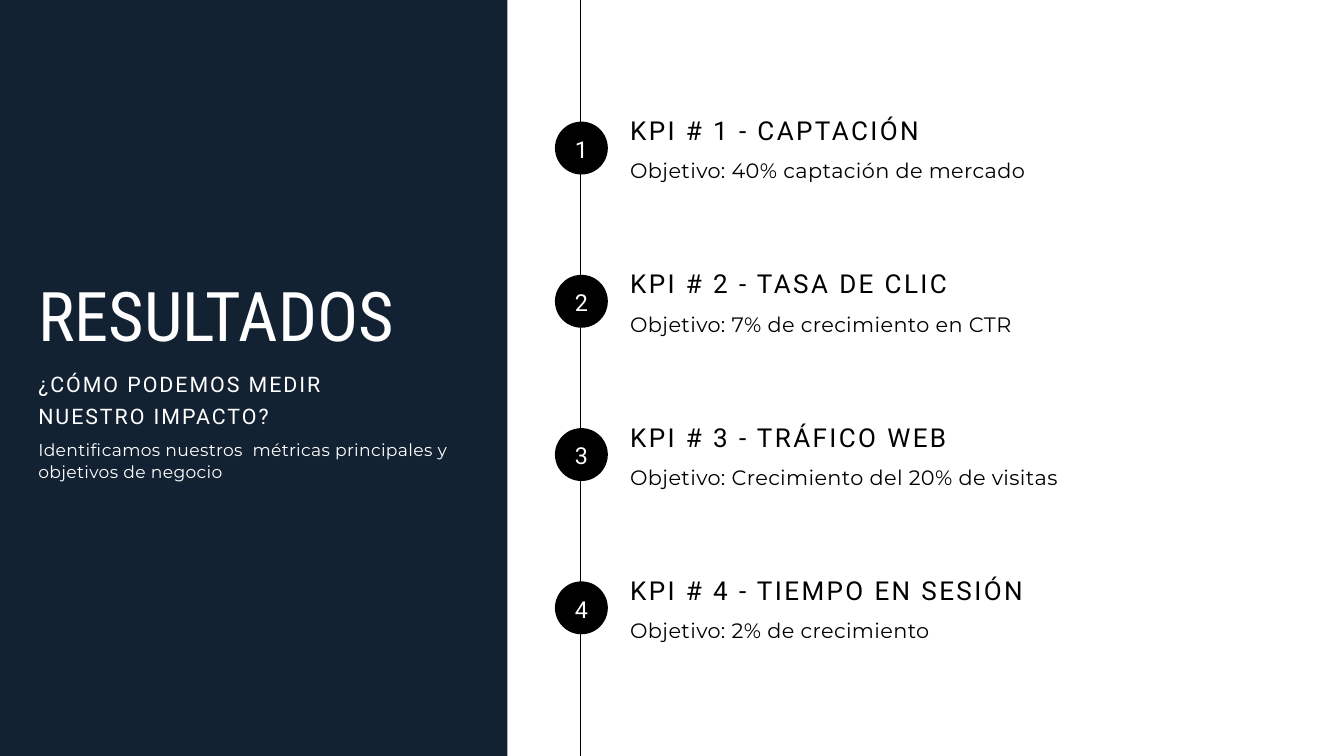
from lxml import etree
from pptx import Presentation
from pptx import util as u
from pptx.dml import color
from pptx.enum import shapes, text
from pptx.oxml import ns

NAVY, BLACK, WHITE = "132232", "000000", "FFFFFF"


def rgb(value):
    return color.RGBColor.from_string(value)


class SlideBuilder:
    """Holds the fonts and the current slide; all lengths are in points."""

    display, heading, body = "Roboto Condensed", "Roboto", "Montserrat"

    def __init__(self, slide):
        self.slide = slide

    def shape(self, kind, left, top, width, height, fill):
        shape = self.slide.shapes.add_shape(
            kind, u.Pt(left), u.Pt(top), u.Pt(width), u.Pt(height))
        shape.shadow.inherit = False
        shape.fill.solid()
        shape.fill.fore_color.rgb = rgb(fill)
        shape.line.fill.background()
        return shape

    def line(self, x1, y1, x2, y2, line_color, width):
        line = self.slide.shapes.add_connector(
            shapes.MSO_CONNECTOR.STRAIGHT, u.Pt(x1), u.Pt(y1), u.Pt(x2), u.Pt(y2))
        line.line.color.rgb = rgb(line_color)
        line.line.width = u.Pt(width)
        etree.SubElement(line._element.spPr, ns.qn("a:effectLst"))

    def set_text(self, shape, words, font, size, leading, font_color, tracking=0,
                 align=text.PP_ALIGN.LEFT, anchor=text.MSO_ANCHOR.TOP, bottom=0):
        frame = shape.text_frame
        frame.word_wrap = True
        frame.auto_size = text.MSO_AUTO_SIZE.NONE
        frame.vertical_anchor = anchor
        frame.margin_left = frame.margin_right = frame.margin_top = 0
        frame.margin_bottom = u.Pt(bottom)
        paragraph = frame.paragraphs[0]
        paragraph.text = words
        paragraph.alignment = align
        paragraph.line_spacing = u.Pt(leading)
        paragraph.font.name = font
        paragraph.font.size = u.Pt(size)
        paragraph.font.color.rgb = rgb(font_color)
        paragraph.font._rPr.set("spc", str(round(tracking * 100)))

    def title(self, left, top, width, height, words, *style):
        title = self.slide.shapes.title
        title.left, title.top = u.Pt(left), u.Pt(top)
        title.width, title.height = u.Pt(width), u.Pt(height)
        self.set_text(title, words, *style)
        # Bring the title in front of the panel
        title._element.getparent().append(title._element)

    def label(self, left, top, width, height, words, *style):
        box = self.slide.shapes.add_textbox(
            u.Pt(left), u.Pt(top), u.Pt(width), u.Pt(height))
        self.set_text(box, words, *style)

    def badge(self, left, top, size, words):
        circle = self.shape(shapes.MSO_SHAPE.OVAL, left, top, size, size, BLACK)
        self.set_text(circle, words, self.heading, 25, 36.2, WHITE, 2.3,
                      text.PP_ALIGN.CENTER, text.MSO_ANCHOR.MIDDLE, 4.3)


def main():
    presentation = Presentation()
    presentation.slide_width, presentation.slide_height = u.Pt(1440), u.Pt(810)
    slide = presentation.slides.add_slide(presentation.slide_layouts[5])
    builder = SlideBuilder(slide)

    # Left panel with the title and introduction
    builder.shape(shapes.MSO_SHAPE.RECTANGLE, 0, 0, 543.6, 810, NAVY)
    builder.title(41, 296.6, 461.5, 85.7, "RESULTADOS",
                  builder.display, 73.4, 84.4, WHITE)
    builder.label(41, 392.4, 416.2, 64, "¿CÓMO PODEMOS MEDIR NUESTRO IMPACTO?",
                  builder.heading, 22.9, 33.3, WHITE, 2.1)
    builder.label(41, 468.7, 461.5, 46.8,
                  "Identificamos nuestros  métricas principales y objetivos de negocio",
                  builder.body, 18.4, 24, WHITE, 0.4)

    # Timeline
    builder.line(622.1, 810, 622.1, 0, BLACK, 0.75)

    # Numbered indicators at equal steps
    indicators = [
        ("CAPTACIÓN", "40% captación de mercado"),
        ("TASA DE CLIC", "7% de crecimiento en CTR"),
        ("TRÁFICO WEB", "Crecimiento del 20% de visitas"),
        ("TIEMPO EN SESIÓN", "2% de crecimiento"),
    ]
    first_top, step = 130.3, 164.2
    for number, (name, goal) in enumerate(indicators, 1):
        top = first_top + (number - 1) * step
        builder.badge(594.6, top, 56.7, str(number))
        builder.label(675.2, top - 14.4, 710.6, 38.9, f"KPI # {number} - {name}",
                      builder.heading, 27.9, 40.5, BLACK, 2.6)
        builder.label(675.2, top + 36.7, 465.8, 28.8, f"Objetivo: {goal}",
                      builder.body, 22.3, 29.2, BLACK, 0.4)

    presentation.save("out.pptx")


if __name__ == "__main__":
    main()
